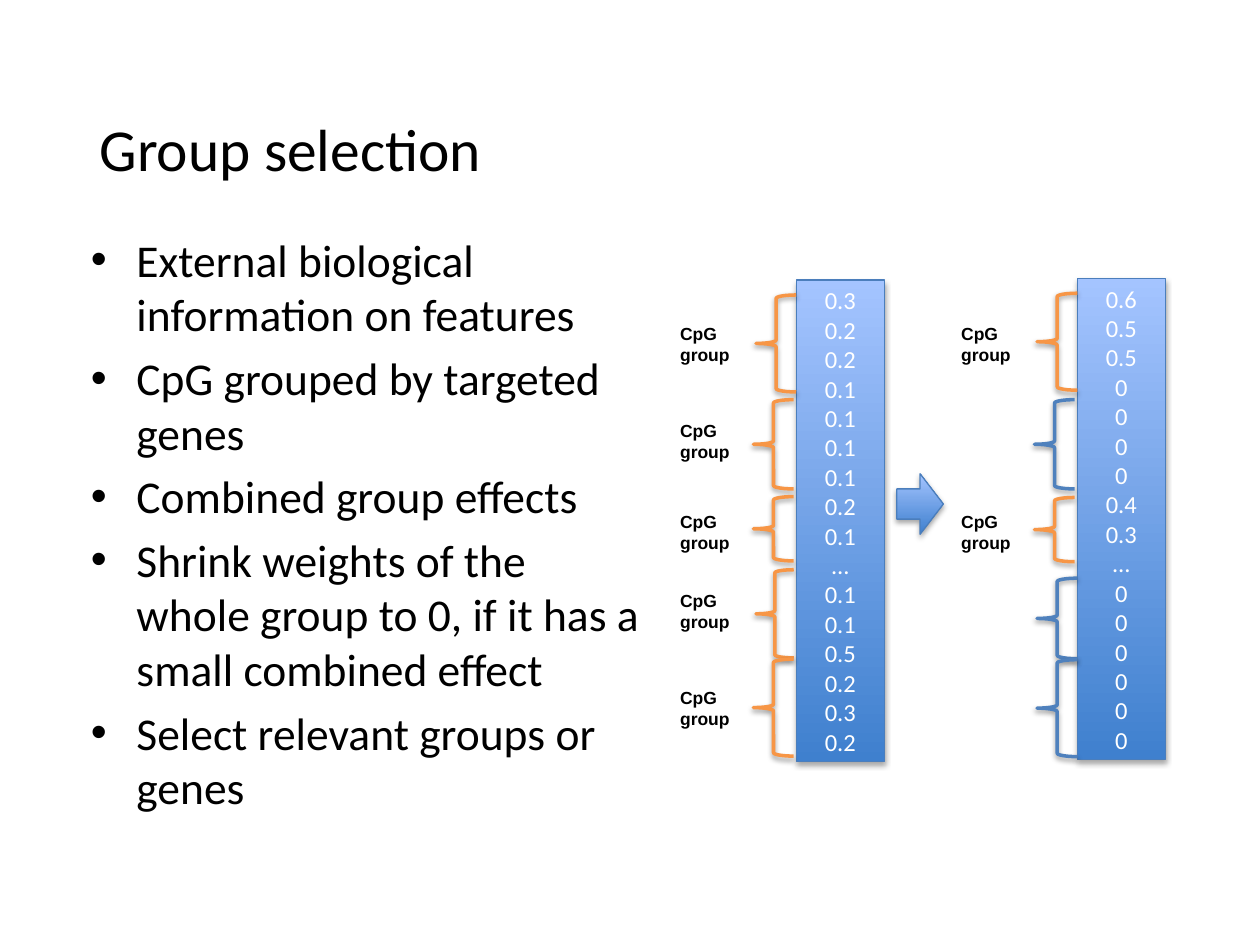
from dataclasses import dataclass

from lxml.etree import SubElement
from pptx import Presentation
from pptx.dml.color import RGBColor
from pptx.enum.shapes import MSO_SHAPE
from pptx.enum.text import MSO_ANCHOR, MSO_AUTO_SIZE, PP_ALIGN
from pptx.oxml.ns import qn
from pptx.util import Pt


@dataclass(frozen=True)
class Theme:
    text: RGBColor = RGBColor.from_string("000000")
    value: RGBColor = RGBColor.from_string("FFFFFF")
    gradient_dark: RGBColor = RGBColor.from_string("3F80CE")
    gradient_light: RGBColor = RGBColor.from_string("A4C4FF")
    outline: RGBColor = RGBColor.from_string("4B7EBC")
    selected: RGBColor = RGBColor.from_string("F79646")
    dropped: RGBColor = RGBColor.from_string("4F81BD")
    body_font: str = "Calibri"
    label_font: str = "Arial"
    title_size: float = 34
    body_size: float = 26
    value_size: float = 14
    label_size: float = 10


@dataclass(frozen=True)
class Group:
    """A brace and its label, measured from the top left of the column."""
    left: float
    top: float
    width: float
    height: float
    label_top: float
    selected: bool = True
    labelled: bool = True


THEME = Theme()
BULLETS = (
    "External biological information on features",
    "CpG grouped by targeted genes",
    "Combined group effects",
    "Shrink weights of the whole group to 0, if it has a small combined effect",
    "Select relevant groups or genes",
)
WEIGHTS_BEFORE = "0.3 0.2 0.2 0.1 0.1 0.1 0.1 0.2 0.1 … 0.1 0.1 0.5 0.2 0.3 0.2".split()
WEIGHTS_AFTER = "0.6 0.5 0.5 0 0 0 0 0.4 0.3 … 0 0 0 0 0 0".split()
GROUPS_BEFORE = (
    Group(-23, 8.6, 23, 55.4, 21),
    Group(-24.5, 68.4, 23, 51, 76.3),
    Group(-24.5, 123.8, 23, 36.7, 128.2),
    Group(-23, 165.6, 21.6, 50.4, 173.5),
    Group(-24.5, 216.7, 23, 55.4, 229),
)
GROUPS_AFTER = (
    Group(-23, 8.6, 23, 55.4, 22),
    Group(-24.5, 69.4, 23, 51, 76.3, selected=False, labelled=False),
    Group(-24.5, 125.3, 23, 36.7, 129.6),
    Group(-23, 171.4, 23, 46, 173.5, selected=False, labelled=False),
    Group(-23, 218, 23, 55.4, 229, selected=False, labelled=False),
)


def style_font(paragraph, name, size, color, bold=False):
    font = paragraph.font
    font.name, font.size, font.bold = name, Pt(size), bold
    font.color.rgb = color


def clear_margins(frame):
    frame.margin_left = frame.margin_right = frame.margin_top = frame.margin_bottom = 0
    frame.word_wrap = True
    frame.vertical_anchor = MSO_ANCHOR.TOP


def add_shadow(shape, distance, opacity):
    """Cast a soft black shadow straight down; opacity is in percent."""
    shape.shadow.inherit = False
    effects = shape._element.spPr.find(qn("a:effectLst"))
    shadow = SubElement(effects, qn("a:outerShdw"), blurRad=str(Pt(3.1)),
                        dist=str(Pt(distance)), dir="5400000", rotWithShape="0")
    color = SubElement(shadow, qn("a:srgbClr"), val="000000")
    SubElement(color, qn("a:alpha"), val=str(opacity * 1000))


def add_gradient_shape(slide, kind, left, top, width, height):
    shape = slide.shapes.add_shape(kind, Pt(left), Pt(top), Pt(width), Pt(height))
    shape.fill.gradient()
    shape.fill.gradient_angle = 90
    for stop, color in zip(shape.fill.gradient_stops,
                           (THEME.gradient_dark, THEME.gradient_light)):
        stop.color.rgb = color
    for stop, position in zip(shape.fill.gradient_stops, (0, 1)):
        stop.position = position
    shape.line.color.rgb = THEME.outline
    shape.line.width = Pt(0.75)
    add_shadow(shape, 1.8, 35)
    return shape


def add_brace(slide, left, top, width, height, color):
    brace = slide.shapes.add_shape(MSO_SHAPE.LEFT_BRACE, Pt(left), Pt(top),
                                   Pt(width), Pt(height))
    brace.fill.background()
    brace.line.color.rgb = color
    brace.line.width = Pt(2)
    add_shadow(brace, 1.6, 38)


def add_group_label(slide, left, top):
    frame = slide.shapes.add_textbox(Pt(left), Pt(top), Pt(69), Pt(33)).text_frame
    frame.word_wrap = True
    frame.auto_size = MSO_AUTO_SIZE.SHAPE_TO_FIT_TEXT
    frame.text = "CpG\ngroup"
    for paragraph in frame.paragraphs:
        style_font(paragraph, THEME.label_font, THEME.label_size, THEME.text, bold=True)


def add_weight_column(slide, left, top, weights, groups):
    column = add_gradient_shape(slide, MSO_SHAPE.RECTANGLE, left, top, 50.4, 275)
    frame = column.text_frame
    frame.vertical_anchor = MSO_ANCHOR.MIDDLE
    frame.text = "\n".join(weights)
    for paragraph in frame.paragraphs:
        paragraph.alignment = PP_ALIGN.CENTER
        style_font(paragraph, THEME.body_font, THEME.value_size, THEME.value)
    for group in groups:
        color = THEME.selected if group.selected else THEME.dropped
        add_brace(slide, left + group.left, top + group.top, group.width, group.height, color)
        if group.labelled:
            add_group_label(slide, left - 73.4, top + group.label_top)


def set_title(slide, text):
    title = slide.shapes.title
    title.left, title.top, title.width, title.height = Pt(57), Pt(64), Pt(594), Pt(86)
    clear_margins(title.text_frame)
    title.text_frame.text = text
    paragraph = title.text_frame.paragraphs[0]
    paragraph.alignment = PP_ALIGN.LEFT
    style_font(paragraph, THEME.body_font, THEME.title_size, THEME.text)


def add_bullets(slide, items):
    frame = slide.shapes.add_textbox(Pt(52), Pt(132.5), Pt(314), Pt(275)).text_frame
    clear_margins(frame)
    frame.text = "\n".join(items)
    for index, paragraph in enumerate(frame.paragraphs):
        properties = paragraph._p.get_or_add_pPr()
        properties.set("marL", str(Pt(26)))
        properties.set("indent", str(Pt(-26)))
        SubElement(properties, qn("a:buFont"), typeface=THEME.label_font)
        SubElement(properties, qn("a:buChar"), char="•")
        paragraph.space_before = Pt(5.2 if index else 0)
        style_font(paragraph, THEME.body_font, THEME.body_size, THEME.text)


def main():
    presentation = Presentation()
    presentation.slide_width, presentation.slide_height = Pt(720), Pt(540)
    slide = presentation.slides.add_slide(presentation.slide_layouts[5])
    set_title(slide, "Group selection")
    add_bullets(slide, BULLETS)
    add_weight_column(slide, 455, 160, WEIGHTS_BEFORE, GROUPS_BEFORE)
    add_weight_column(slide, 615.6, 159, WEIGHTS_AFTER, GROUPS_AFTER)
    add_gradient_shape(slide, MSO_SHAPE.RIGHT_ARROW, 512.5, 270.7, 26.6, 34.6)
    presentation.save("out.pptx")


if __name__ == "__main__":
    main()
